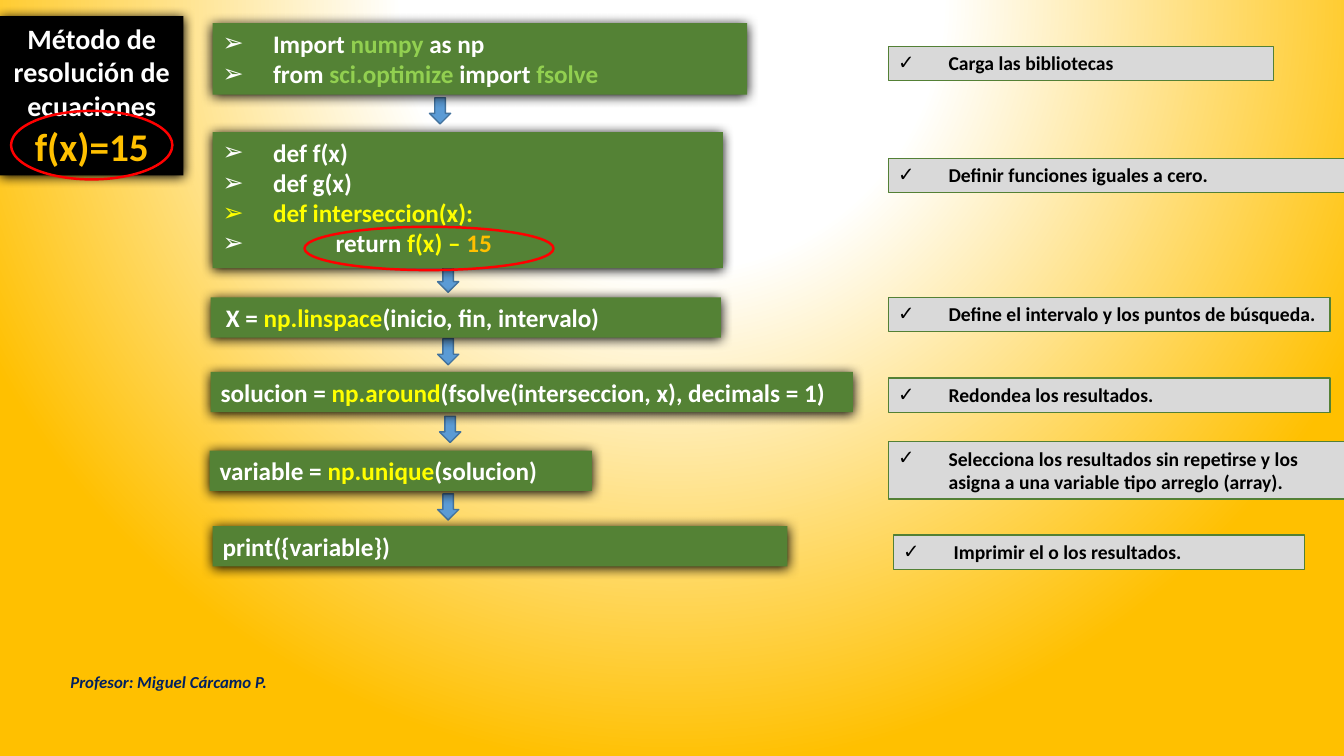
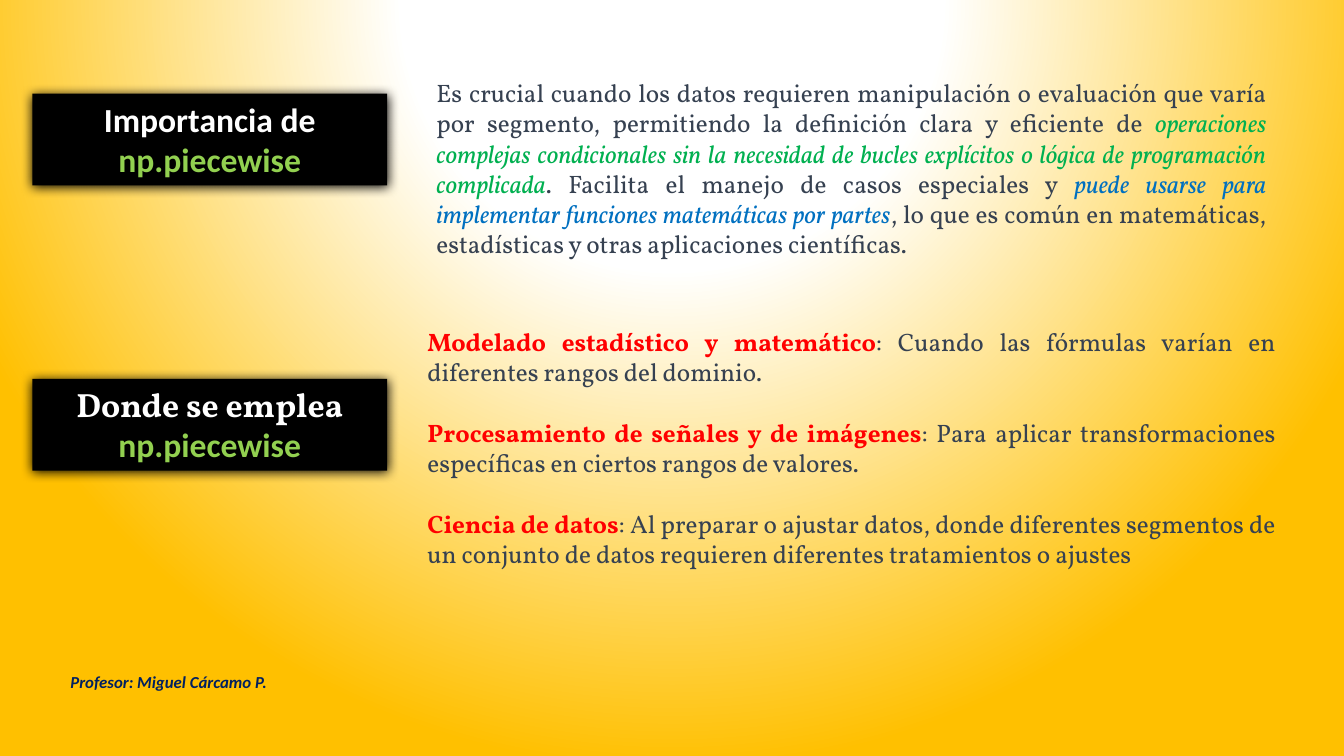
from lxml.etree import SubElement as Sub
from pptx import Presentation
from pptx.dml.color import RGBColor
from pptx.enum.shapes import MSO_SHAPE as Geo
from pptx.enum.text import MSO_ANCHOR as Anchor, PP_ALIGN as Align
from pptx.oxml.ns import qn
from pptx.util import Inches, Pt

WHITE, BLACK, GOLD, YELLOW = "FFFFFF", "000000", "FFC000", "FFFF00"
LIME, GREEN, EDGE, GRAY = "92D050", "548235", "538035", "D9D9D9"
BLUE, STEEL, NAVY, RED = "5B9BD5", "43739E", "002060", "FF0000"
SLATE, LEAF, AZURE = "364151", "00B050", "0070C0"
SANS, SERIF = "Calibri", "Vollkorn"


def rgb(code):
    return RGBColor.from_string(code)


def node(parent, tag, **attrs):
    return Sub(parent, qn(tag), {k: str(v) for k, v in attrs.items()})


class Deck:
    """Holds the shared style and the slide being built."""

    def __init__(self):
        self.prs = Presentation()
        self.prs.slide_width = Inches(13.33)
        self.prs.slide_height = Inches(7.5)
        self.slide = None
        self.glow()

    def glow(self):
        """Give the master a white glow that fades to gold."""
        master = self.prs.slide_master
        master.background.fill.gradient()
        grad = master.element.find(".//" + qn("a:gradFill"))
        for child in list(grad):
            grad.remove(child)
        stops = node(grad, "a:gsLst")
        for pos, code in ((0, WHITE), (35, WHITE), (100, GOLD)):
            node(node(stops, "a:gs", pos=pos * 1000), "a:srgbClr", val=code)
        ring = node(grad, "a:path", path="circle")
        node(ring, "a:fillToRect", l=50000, t=-80000, r=50000, b=180000)

    def page(self):
        self.slide = self.prs.slides.add_slide(self.prs.slide_layouts[6])
        foot = self.text((0.6, 6.56, 3, 0.4), [["Profesor: Miguel Cárcamo P."]],
                         size=12, color=NAVY, bold=True, italic=True)
        foot.text_frame.vertical_anchor = Anchor.MIDDLE

    def shape(self, geo, at, fill=None, line=None, width=1):
        item = self.slide.shapes.add_shape(geo, *map(Inches, at))
        item.shadow.inherit = False
        if fill:
            item.fill.solid()
            item.fill.fore_color.rgb = rgb(fill)
        else:
            item.fill.background()
        if line:
            item.line.color.rgb = rgb(line)
            item.line.width = Pt(width)
        else:
            item.line.fill.background()
        return item

    def label(self, item, paras, font=SANS, size=18, color=WHITE, bold=False,
              italic=False, align=Align.LEFT, bullet=None, gap=0):
        """Fill an item with text; a run is a text or (text, font changes)."""
        frame = item.text_frame
        frame.word_wrap = True
        frame.vertical_anchor = Anchor.TOP
        for i, runs in enumerate(paras):
            para = frame.add_paragraph() if i else frame.paragraphs[0]
            para.alignment = align
            if bullet:
                self.mark(para, bullet)
            if i and gap:
                para.space_before = Pt(gap)
            self.style(para.font, font, size, color, bold, italic)
            for part in runs:
                words, look = (part, {}) if isinstance(part, str) else part
                run = para.add_run()
                run.text = words
                self.style(run.font, **look)
        return item

    def style(self, font, name=None, size=None, color=None, bold=None, italic=None):
        if name:
            font.name = name
        if size:
            font.size = Pt(size)
        if color:
            font.color.rgb = rgb(color)
        if bold is not None:
            font.bold = bold
        if italic is not None:
            font.italic = italic

    def mark(self, para, char, left=0.5):
        """Set a hanging bullet."""
        props = para._p.get_or_add_pPr()
        props.set("marL", str(Inches(left)))
        props.set("indent", str(-Inches(left)))
        if props.find(qn("a:buChar")) is None:
            node(props, "a:buFont", typeface="Arial")
            node(props, "a:buChar", char=char)

    def text(self, at, paras, **look):
        item = self.slide.shapes.add_textbox(*map(Inches, at))
        return self.label(item, paras, **look)

    def panel(self, at, paras, fill=GREEN, **look):
        """Add a bold text panel with a soft shadow."""
        item = self.shape(Geo.RECTANGLE, at, fill)
        effects = item.element.spPr.find(qn("a:effectLst"))
        shade = node(effects, "a:outerShdw", blurRad=Pt(8.5), dist=Pt(1),
                     dir=5400000, algn="t", rotWithShape=0)
        node(shade, "a:srgbClr", val=BLACK)
        return self.label(item, paras, bold=True, **look)

    def title(self, at, paras, **look):
        return self.panel(at, paras, BLACK, align=Align.CENTER, **look)

    def note(self, at, words):
        item = self.shape(Geo.RECTANGLE, at, GRAY, EDGE)
        self.label(item, [[words]], size=14, color=BLACK, bold=True, bullet="✓")

    def arrow(self, x, y):
        self.shape(Geo.DOWN_ARROW, (x, y, 0.21, 0.26), BLUE, STEEL)

    def ring(self, *at):
        self.shape(Geo.OVAL, at, None, RED, 1.75)


def tint(words, color, **look):
    return words, dict(color=color, **look)


def steps(deck):
    deck.page()
    for x, y in ((4.26, 0.97), (4.34, 2.64), (4.34, 3.36), (4.36, 4.13), (4.34, 4.9)):
        deck.arrow(x, y)

    deck.panel((2.11, 0.23, 5.3, 0.71), [
        ["Import ", tint("numpy", LIME), " as np"],
        ["from ", tint("sci.optimize ", LIME), "import ", tint("fsolve", LIME)],
    ], bullet="➢")
    defs = deck.panel((2.11, 1.31, 5.06, 1.35), [
        ["def f(x)"],
        ["def g(x)"],
        [tint("def interseccion(x):", YELLOW)],
        ["return ", tint("f(x) – ", YELLOW), tint("15", GOLD)],
    ], bullet="➢")
    deck.mark(defs.text_frame.paragraphs[3], "➢", 1.12)

    span = deck.panel((2.09, 2.95, 5.06, 0.4), [
        ["X = ", tint("np.linspace", YELLOW), "(inicio, fin, intervalo)"]])
    span.text_frame.margin_left = Inches(0.15)
    deck.panel((2.09, 3.69, 6.37, 0.4), [
        ["solucion = ", tint("np.around", YELLOW),
         "(fsolve(interseccion, x), decimals = 1)"]])
    deck.panel((2.08, 4.47, 3.79, 0.4), [
        ["variable = ", tint("np.unique", YELLOW), "(solucion)"]])
    deck.panel((2.11, 5.22, 5.7, 0.4), [["print({variable})"]])

    for x, y, w, h, words in (
        (8.81, 0.46, 3.82, 0.34, "Carga las bibliotecas"),
        (8.81, 1.57, 4.59, 0.34, "Definir funciones iguales a cero."),
        (8.81, 2.95, 4.38, 0.34, "Define el intervalo y los puntos de búsqueda."),
        (8.81, 3.75, 4.38, 0.34, "Redondea los resultados."),
        (8.81, 4.38, 4.59, 0.57, "Selecciona los resultados sin repetirse y los "
                                 "asigna a una variable tipo arreglo (array)."),
        (8.86, 5.31, 4.08, 0.34, "Imprimir el o los resultados."),
    ):
        deck.note((x, y, w, h), words)

    deck.title((0, 0.16, 1.82, 1.58), [
        ["Método de resolución de ecuaciones"],
        [tint("f(x)=15", GOLD, size=28)],
    ], size=20)
    deck.ring(3.02, 2.25, 2.47, 0.43)
    deck.ring(0.11, 1.1, 1.6, 0.68)


def uses(deck):
    deck.page()
    for y, lead, face in ((0.93, "Importancia de ", SANS),
                          (3.76, "Donde se emplea ", SERIF)):
        deck.title((0.32, y, 3.52, 0.91), [
            [(lead, dict(name=face)), tint("np.piecewise", LIME, name=SANS)]], size=24)

    body = dict(font=SERIF, color=SLATE, align=Align.JUSTIFY)
    deck.text((4.23, 0.72, 8.43, 1.92), [[
        "Es crucial cuando los datos requieren manipulación o evaluación que varía "
        "por segmento, permitiendo la definición clara y eficiente de ",
        tint("operaciones complejas condicionales sin la necesidad de bucles "
             "explícitos o lógica de programación complicada", LEAF, italic=True),
        ". Facilita el manejo de casos especiales y ",
        tint("puede usarse para implementar funciones matemáticas por partes",
             AZURE, italic=True),
        ", lo que es común en matemáticas, estadísticas y otras aplicaciones "
        "científicas.",
    ]], **body)
    fields = (
        ("Modelado estadístico y matemático",
         ": Cuando las fórmulas varían en diferentes rangos del dominio."),
        ("Procesamiento de señales y de imágenes",
         ": Para aplicar transformaciones específicas en ciertos rangos de valores."),
        ("Ciencia de datos",
         ": Al preparar o ajustar datos, donde diferentes segmentos de un conjunto "
         "de datos requieren diferentes tratamientos o ajustes"),
    )
    deck.text((4.14, 3.19, 8.61, 2.52),
              [[tint(head, RED, bold=True), rest] for head, rest in fields],
              gap=21.6, **body)


def main():
    deck = Deck()
    steps(deck)
    uses(deck)
    deck.prs.save("out.pptx")


if __name__ == "__main__":
    main()
